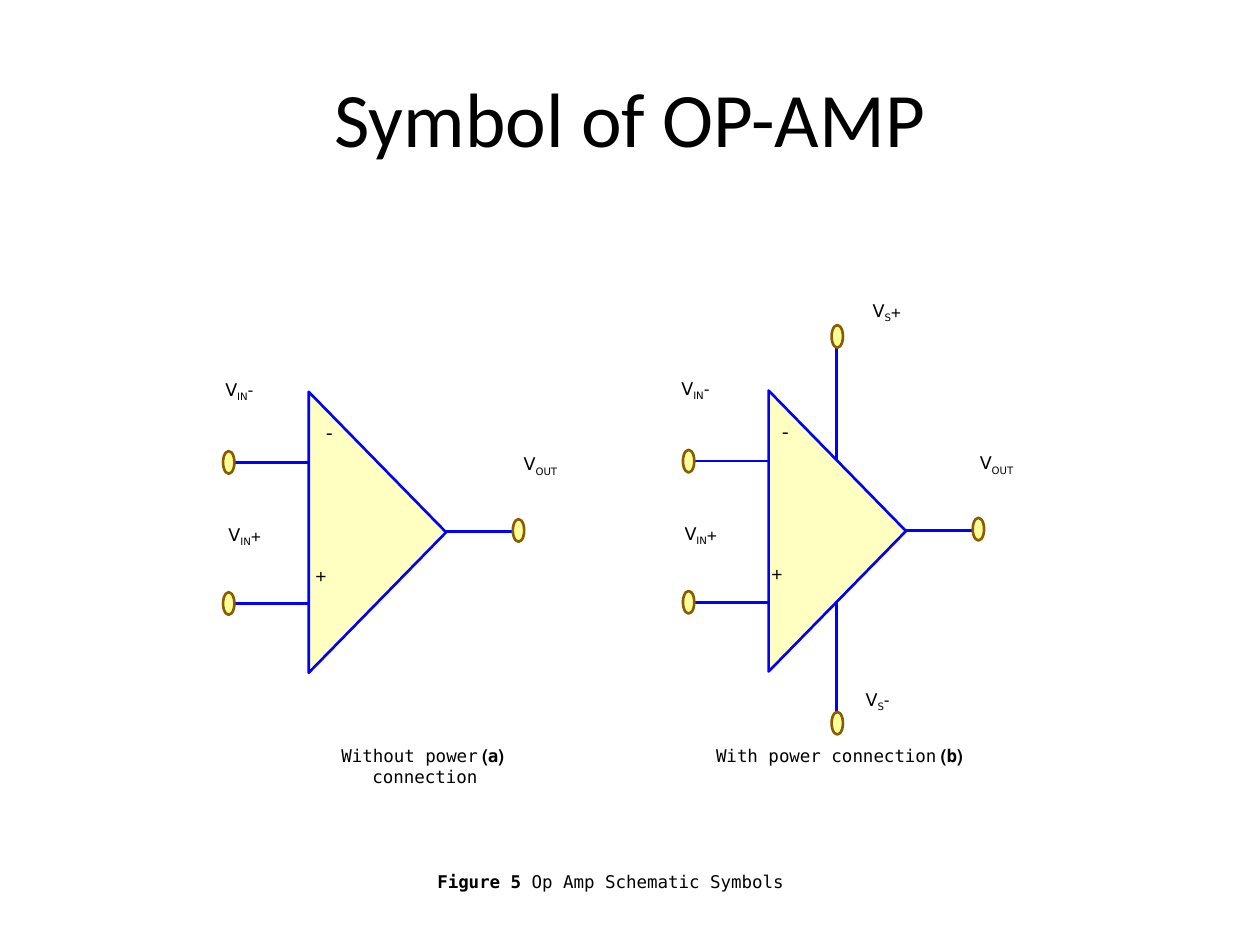
from lxml import etree
from pptx import Presentation
from pptx import util as u
from pptx.dml.color import RGBColor
from pptx.enum import shapes, text
from pptx.oxml.ns import qn

HUES = {"wire": "0000FF", "body": "FFFFC1", "pin": "FFFF99", "rim": "8A5C00", "ink": "000000"}
SANS, MONO = "DejaVu Sans", "DejaVu Sans Mono"
TITLE = "Symbol of OP-AMP"

WIRES = [(3.44, 4.22, 4.12, 4.22), (2.48, 3.67, 1.8, 3.67), (2.48, 4.79, 1.8, 4.79)]
PINS = [(4.07, 4.12), (1.77, 3.58), (1.77, 4.7)]
BODY = (1.88, 3.68, 2.23, 1.09)
LABELS = [
    ("-V", "IN", 10, (1.56, 2.96, 0.55, 0.64)),
    ("+", "", 11, (2.39, 4.41, 0.3, 0.69)),
    ("-", "", 12, (2.44, 3.28, 0.3, 0.54)),
    ("+V", "IN", 10, (1.53, 4.11, 0.64, 0.64)),
    ("V", "OUT", 10, (3.96, 3.55, 0.56, 0.64)),
]
POWER = {
    "wires": [(2.99, 2.65, 2.99, 3.76), (2.99, 4.63, 2.99, 5.75)],
    "pins": [(2.95, 2.59), (2.95, 5.66)],
    "labels": [
        ("+V", "S", 10, (2.99, 2.34, 0.64, 0.64)),
        ("-V", "S", 10, (2.99, 5.43, 0.55, 0.64)),
    ],
}
SYMBOLS = [
    {"draw": (0, 0), "words": (0, 0), "more": {}},
    {"draw": (3.65, -0.01), "words": (3.62, -0.01), "more": POWER},
]
NOTES = [
    ("Figure 5", " Op Amp Schematic Symbols", (3.36, 6.86, 2.97, 0.64)),
    ("(a)", " Without power connection ", (2.19, 5.86, 2.33, 0.39)),
    ("(b)", " With power connection ", (5.53, 5.86, 2.23, 0.64)),
]


def hue(name):
    return RGBColor.from_string(HUES[name])


def inch(nums):
    return [u.Inches(n) for n in nums]


def move(spot, by):
    return [n + by[i % 2] if i < 2 else n for i, n in enumerate(spot)]


def wire(ends, by):
    ends = [n + by[i % 2] for i, n in enumerate(ends)]
    line = slide.shapes.add_connector(shapes.MSO_CONNECTOR.STRAIGHT, *inch(ends))
    line.line.color.rgb = hue("wire")
    line.line.width = u.Pt(1.5)
    etree.SubElement(line._element.spPr, qn("a:effectLst"))


def solid(kind, spot, fill, edge, turn=0):
    form = slide.shapes.add_shape(kind, *inch(spot))
    form.shadow.inherit = False
    form.rotation = turn
    form.fill.solid()
    form.fill.fore_color.rgb = hue(fill)
    form.line.color.rgb = hue(edge)
    form.line.width = u.Pt(1.5)


def words(spot, runs, align):
    frame = slide.shapes.add_textbox(*inch(spot)).text_frame
    frame.word_wrap = True
    para = frame.paragraphs[0]
    para.alignment = align
    para._p.get_or_add_pPr().set("rtl", "1")
    for part, look, base in runs:
        run = para.add_run()
        run.text = part
        run.font.color.rgb = hue("ink")
        for key, val in look.items():
            setattr(run.font, key, val)
        if base:
            run.font._element.set("baseline", str(base))


def symbol(draw, label, more):
    for ends in WIRES + more.get("wires", []):
        wire(ends, draw)
    solid(shapes.MSO_SHAPE.ISOSCELES_TRIANGLE, move(BODY, draw), "body", "wire", 90)
    for pin in PINS + more.get("pins", []):
        solid(shapes.MSO_SHAPE.OVAL, move(pin + (0.09, 0.18), draw), "pin", "rim")
    for main, sub, size, spot in LABELS + more.get("labels", []):
        look = {"size": u.Pt(size), "name": SANS}
        runs = [(main, look, 0)] + ([(sub, look, -25000)] if sub else [])
        words(move(spot, label), runs, text.PP_ALIGN.RIGHT)


deck = Presentation()
deck.slide_width, deck.slide_height = inch((10, 7.5))
slide = deck.slides.add_slide(deck.slide_layouts[5])

head = slide.shapes.title
head.left, head.top, head.width, head.height = inch((0.5, 0.3, 9, 1.25))
head.text_frame.text = TITLE
head.text_frame.vertical_anchor = text.MSO_ANCHOR.MIDDLE
para = head.text_frame.paragraphs[0]
para.alignment = text.PP_ALIGN.CENTER
for key, val in {"size": u.Pt(44), "name": "Calibri"}.items():
    setattr(para.runs[0].font, key, val)
para.runs[0].font.color.rgb = hue("ink")

for item in SYMBOLS:
    symbol(item["draw"], item["words"], item["more"])
for bold, rest, spot in NOTES:
    look = {"size": u.Pt(10), "name": MONO}
    runs = [(bold, {**look, "bold": True}, 0), (rest, {**look, "bold": False}, 0)]
    words(spot, runs, text.PP_ALIGN.CENTER)

deck.save("out.pptx")
